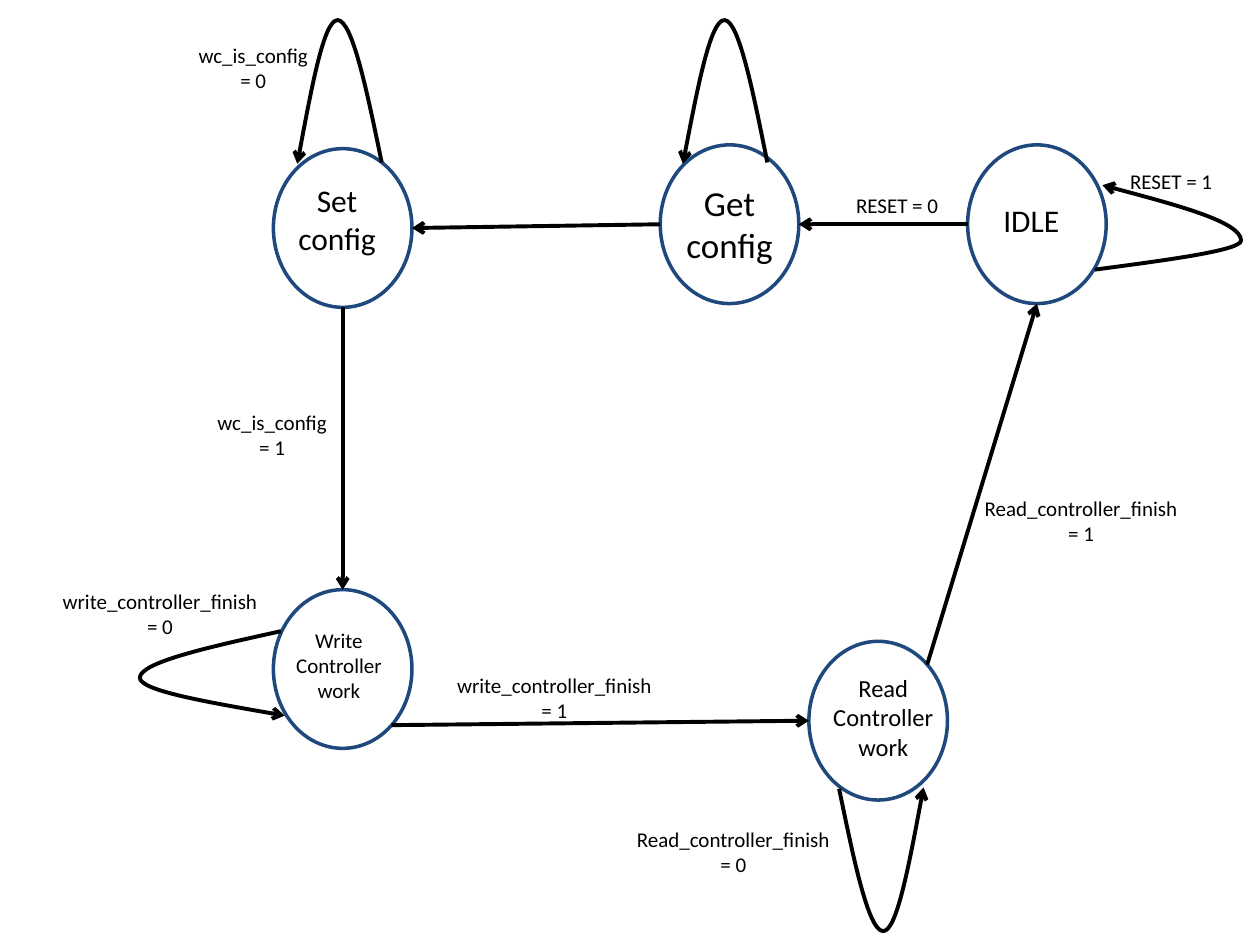
import math

import pptx
import pptx.dml.color
import pptx.enum.shapes
import pptx.enum.text
import pptx.oxml
import pptx.oxml.ns
import pptx.util
from pptx.util import Inches

BLACK, NAVY = "000000", "1F497D"
STATE_W, STATE_H = 1.1, 1.26

# name: left, top of the circle; left, top, width, height of the caption inside it; size
STATES = {
    "IDLE": (7.68, 1.15, (0.15, 0.4, 0.71, 0.4), 18),
    "Set config": (2.17, 1.18, (0.07, 0.21, 0.87, 0.71), 18),
    "Write Controller work": (2.17, 4.68, (0.05, 0.25, 0.94, 0.71), 12),
    "Read Controller work": (6.42, 5.09, (0.08, 0.2, 1.02, 0.98), 14),
    "Get config": (5.24, 1.15, (-0.08, 0.24, 1.26, 0.77), 20),
}

# An ellipse has eight sites, anticlockwise from the top
TOP, LEFT, BOTTOM, BOTTOM_RIGHT, RIGHT, TOP_RIGHT = 0, 2, 4, 5, 6, 7
TRANSITIONS = [
    ("IDLE", LEFT, "Get config", RIGHT),
    ("Get config", LEFT, "Set config", RIGHT),
    ("Set config", BOTTOM, "Write Controller work", TOP),
    ("Write Controller work", BOTTOM_RIGHT, "Read Controller work", LEFT),
    ("Read Controller work", TOP_RIGHT, "IDLE", BOTTOM),
]

# start, apex, end, whether the loop stretches up or down
SELF_LOOPS = [
    ((8.69, 2.14), (9.85, 1.91), (8.75, 1.47), False),
    ((3.03, 1.29), (2.68, 0.16), (2.36, 1.3), True),
    ((6.09, 1.29), (5.75, 0.16), (5.42, 1.3), True),
    ((2.23, 5.01), (1.11, 5.38), (2.26, 5.68), False),
    ((6.66, 6.26), (7.01, 7.39), (7.33, 6.25), True),
]

CONDITIONS = [
    ("RESET = 0", (6.65, 1.48, 0.94, 0.3)),
    ("RESET = 1", (8.86, 1.29, 0.87, 0.3)),
    ("wc_is_config = 0", (1.46, 0.29, 1.1, 0.5)),
    ("wc_is_config = 1", (1.61, 3.2, 1.1, 0.5)),
    ("write_controller_finish= 0", (0.37, 4.62, 1.8, 0.5)),
    ("write_controller_finish= 1", (3.5, 5.29, 1.8, 0.5)),
    ("Read_controller_finish= 0", (4.92, 6.51, 1.8, 0.5)),
    ("Read_controller_finish= 1", (7.68, 3.88, 1.8, 0.5)),
]


def color(hex_value):
    return pptx.dml.color.RGBColor.from_string(hex_value)


def add_caption(shapes, box, text, size):
    caption = shapes.add_textbox(*map(Inches, box))
    caption.text_frame.word_wrap = True
    paragraph = caption.text_frame.paragraphs[0]
    paragraph.text = text
    paragraph.alignment = pptx.enum.text.PP_ALIGN.CENTER
    paragraph._p.get_or_add_pPr().set("rtl", "1")
    font = paragraph.runs[0].font
    for attribute, value in {"size": pptx.util.Pt(size), "name": "Calibri"}.items():
        setattr(font, attribute, value)
    font.color.rgb = color(BLACK)


def add_state(slide, name, left, top, caption_box, size):
    group = slide.shapes.add_group_shape()
    circle = group.shapes.add_shape(
        pptx.enum.shapes.MSO_SHAPE.OVAL,
        *map(Inches, (left, top, STATE_W, STATE_H)))
    circle.shadow.inherit = False
    circle.fill.background()
    circle.line.color.rgb = color(NAVY)
    circle.line.width = pptx.util.Pt(2)
    dx, dy, width, height = caption_box
    add_caption(group.shapes, (left + dx, top + dy, width, height), name, size)
    return circle


def style_arrow(arrow):
    arrow.line.color.rgb = color(BLACK)
    arrow.line.width = pptx.util.Pt(2.25)
    tail = pptx.oxml.parse_xml(
        f'<a:tailEnd {pptx.oxml.ns.nsdecls("a")} type="arrow"/>')
    arrow.line._get_or_add_ln().append(tail)


def site_point(circle, site):
    angle = site * math.pi / 4
    x = circle.left + circle.width / 2 * (1 - math.sin(angle))
    y = circle.top + circle.height / 2 * (1 - math.cos(angle))
    return round(x), round(y)


def add_transition(slide, source, source_site, target, target_site):
    start, end = site_point(source, source_site), site_point(target, target_site)
    arrow = slide.shapes.add_connector(
        pptx.enum.shapes.MSO_CONNECTOR.STRAIGHT, *start, *end)
    # Join the circles, then move each end from the top to its own site
    arrow.begin_connect(source, 0)
    arrow.end_connect(target, 0)
    joints = arrow._element.nvCxnSpPr.cNvCxnSpPr
    joints.stCxn.idx, joints.endCxn.idx = source_site, target_site
    ends = {"begin_x": start[0], "begin_y": start[1], "end_x": end[0], "end_y": end[1]}
    for attribute, value in ends.items():
        setattr(arrow, attribute, value)
    style_arrow(arrow)
    arrow._element.spPr.append(
        pptx.oxml.parse_xml(f'<a:effectLst {pptx.oxml.ns.nsdecls("a")}/>'))


def half_loop(foot, apex, vertical):
    """Two control points from foot to apex: thirds across, halves along."""
    across, along = (0, 1) if vertical else (1, 0)
    controls = []
    for step, depth in ((1 / 3, 0.5), (2 / 3, 1)):
        control = [0, 0]
        control[across] = foot[across] + (apex[across] - foot[across]) * step
        control[along] = foot[along] + (apex[along] - foot[along]) * depth
        controls.append(tuple(control))
    return controls


def add_self_loop(slide, start, apex, end, vertical):
    points = [*half_loop(start, apex, vertical), apex,
              *reversed(half_loop(end, apex, vertical)), end]
    builder = slide.shapes.build_freeform(*map(Inches, start))
    builder.add_line_segments([tuple(map(Inches, p)) for p in points], close=False)
    loop = builder.convert_to_shape()
    # Turn every three straight segments into one Bezier curve
    segments = list(loop._element.iter(pptx.oxml.ns.qn("a:lnTo")))
    for first in range(0, len(segments), 3):
        curve = pptx.oxml.parse_xml(
            f'<a:cubicBezTo {pptx.oxml.ns.nsdecls("a")}/>')
        segments[first].addprevious(curve)
        for segment in segments[first:first + 3]:
            curve.append(segment[0])
            segment.getparent().remove(segment)
    loop.shadow.inherit = False
    loop.fill.background()
    style_arrow(loop)


def main():
    presentation = pptx.Presentation()
    presentation.slide_width, presentation.slide_height = Inches(10), Inches(7.5)
    slide = presentation.slides.add_slide(presentation.slide_layouts[6])

    # States
    circles = {name: add_state(slide, name, *place) for name, place in STATES.items()}

    # Transitions between states, and loops back to the same state
    for source, source_site, target, target_site in TRANSITIONS:
        add_transition(slide, circles[source], source_site, circles[target], target_site)
    for self_loop in SELF_LOOPS:
        add_self_loop(slide, *self_loop)

    # Conditions on the arrows
    for condition, box in CONDITIONS:
        add_caption(slide.shapes, box, condition, 12)

    presentation.save("out.pptx")


if __name__ == "__main__":
    main()
